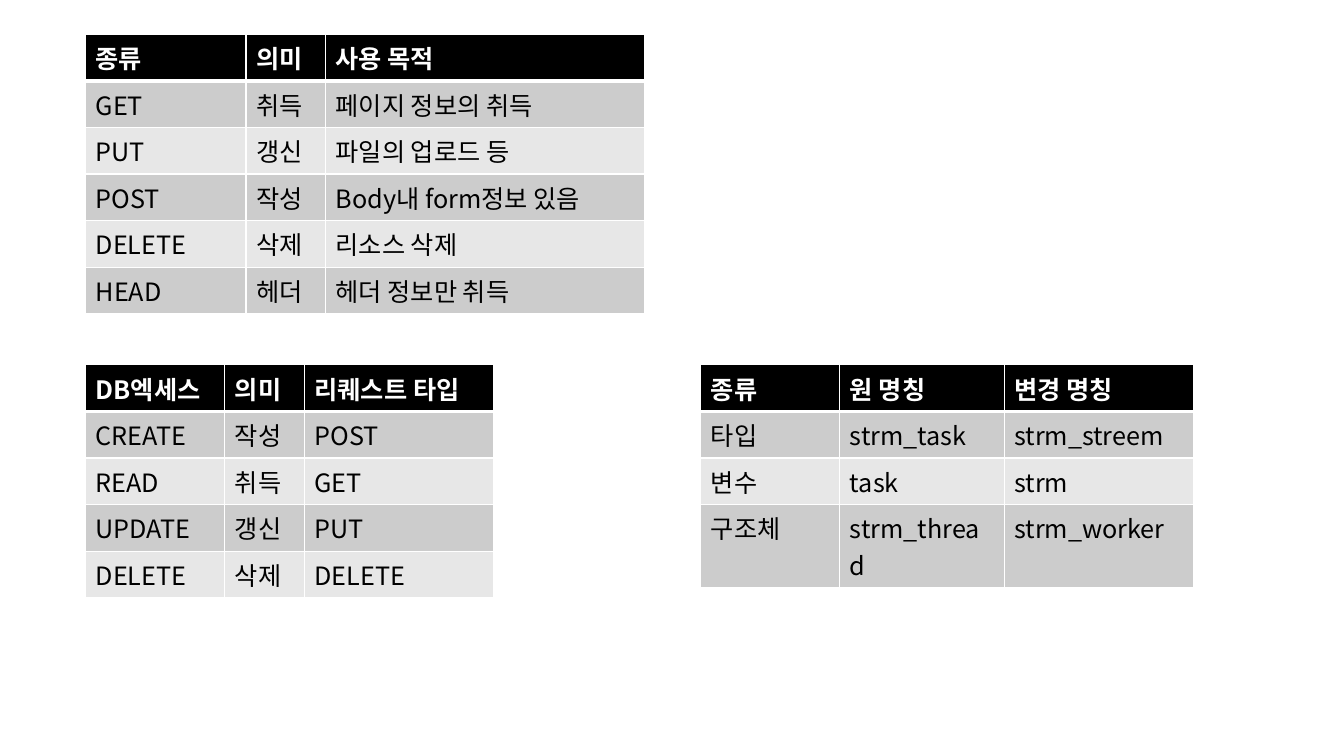
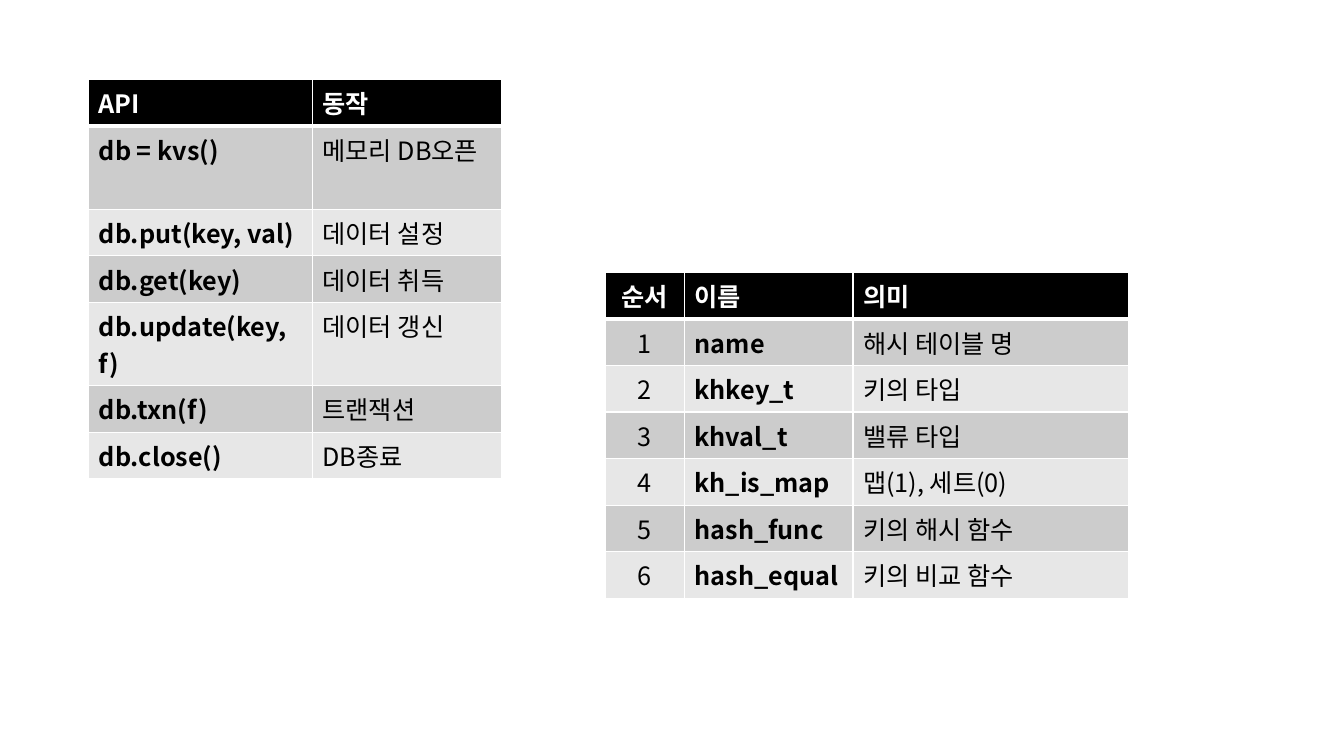
from dataclasses import dataclass

import pptx
import pptx.dml.color
import pptx.enum.text
import pptx.oxml.ns
import pptx.slide
import pptx.table
import pptx.util
from lxml import etree

Inches = pptx.util.Inches
Pt = pptx.util.Pt
qn = pptx.oxml.ns.qn


@dataclass(frozen=True)
class Theme:
    font: str = "Noto Sans CJK KR"
    size: int = 18
    head: str = "000000"
    ink: str = "000000"
    white: str = "FFFFFF"
    bands: tuple[str, str] = ("CCCCCC", "E7E7E7")
    thin: int = 1
    thick: int = 3
    row: float = 0.43


@dataclass(frozen=True)
class Grid:
    left: float
    top: float
    widths: tuple[float, ...]
    rows: tuple[tuple[str, ...], ...]
    bold: int | None = None
    center: int | None = None


THEME = Theme()

METHODS = Grid(0.85, 0.34, (1.59, 0.79, 3.16), (
    ("종류", "의미", "사용 목적"),
    ("GET", "취득", "페이지 정보의 취득"),
    ("PUT", "갱신", "파일의 업로드 등"),
    ("POST", "작성", "Body내 form정보 있음"),
    ("DELETE", "삭제", "리소스 삭제"),
    ("HEAD", "헤더", "헤더 정보만 취득"),
))
ACCESS = Grid(0.85, 3.62, (1.38, 0.79, 1.88), (
    ("DB엑세스", "의미", "리퀘스트 타입"),
    ("CREATE", "작성", "POST"),
    ("READ", "취득", "GET"),
    ("UPDATE", "갱신", "PUT"),
    ("DELETE", "삭제", "DELETE"),
))
NAMES = Grid(6.95, 3.62, (1.38, 1.63, 1.88), (
    ("종류", "원 명칭", "변경 명칭"),
    ("타입", "strm_task", "strm_streem"),
    ("변수", "task", "strm"),
    ("구조체", "strm_thread", "strm_worker"),
))
CALLS = Grid(0.88, 0.79, (2.22, 1.88), (
    ("API", "동작"),
    ("db = kvs()", "메모리 DB오픈"),
    ("db.put(key, val)", "데이터 설정"),
    ("db.get(key)", "데이터 취득"),
    ("db.update(key, f)", "데이터 갱신"),
    ("db.txn(f)", "트랜잭션"),
    ("db.close()", "DB종료"),
), bold=0)
PARAMS = Grid(6, 2.7, (0.79, 1.67, 2.73), (
    ("순서", "이름", "의미"),
    ("1", "name", "해시 테이블 명"),
    ("2", "khkey_t", "키의 타입"),
    ("3", "khval_t", "밸류 타입"),
    ("4", "kh_is_map", "맵(1), 세트(0)"),
    ("5", "hash_func", "키의 해시 함수"),
    ("6", "hash_equal", "키의 비교 함수"),
), bold=1, center=0)

SLIDES = ((METHODS, ACCESS, NAMES), (CALLS, PARAMS))


def rgb(code: str) -> pptx.dml.color.RGBColor:
    return pptx.dml.color.RGBColor.from_string(code)


def edge(cell: pptx.table._Cell, row: int) -> None:
    """Draw white cell borders, with a thick rule under the header."""
    top = THEME.thick if row == 1 else THEME.thin
    base = THEME.thick if row == 0 else THEME.thin
    sides = {"L": THEME.thin, "R": THEME.thin, "T": top, "B": base}
    props = cell._tc.get_or_add_tcPr()
    for spot, (side, width) in enumerate(sides.items()):
        line = etree.Element(qn(f"a:ln{side}"), w=str(Pt(width)))
        fill = etree.SubElement(line, qn("a:solidFill"))
        etree.SubElement(fill, qn("a:srgbClr"), val=THEME.white)
        props.insert(spot, line)


def write(cell: pptx.table._Cell, text: str, color: str, bold: bool,
          center: bool) -> None:
    cell.text_frame.text = text
    para = cell.text_frame.paragraphs[0]
    if center:
        para.alignment = pptx.enum.text.PP_ALIGN.CENTER
    run = para.runs[0]
    run.font.name = THEME.font
    run.font.size = Pt(THEME.size)
    run.font.bold = bold
    run.font.color.rgb = rgb(color)
    latin = run.font._element.find(qn("a:latin"))
    latin.addnext(etree.Element(qn("a:ea"), typeface=THEME.font))


def draw(slide: pptx.slide.Slide, grid: Grid) -> None:
    count = len(grid.rows)
    table = slide.shapes.add_table(
        count, len(grid.widths), Inches(grid.left), Inches(grid.top),
        Inches(sum(grid.widths)), Inches(THEME.row * count)).table
    for col, width in zip(table.columns, grid.widths):
        col.width = Inches(width)
    for r, texts in enumerate(grid.rows):
        table.rows[r].height = Inches(THEME.row)
        head = r == 0
        back = THEME.head if head else THEME.bands[(r - 1) % 2]
        color = THEME.white if head else THEME.ink
        for c, text in enumerate(texts):
            cell = table.cell(r, c)
            cell.fill.solid()
            cell.fill.fore_color.rgb = rgb(back)
            edge(cell, r)
            write(cell, text, color, head or c == grid.bold, c == grid.center)


def main() -> None:
    deck = pptx.Presentation()
    deck.slide_width = Inches(13.33)
    deck.slide_height = Inches(7.5)
    blank = deck.slide_layouts[6]
    for grids in SLIDES:
        slide = deck.slides.add_slide(blank)
        for grid in grids:
            draw(slide, grid)
    deck.save("out.pptx")


if __name__ == "__main__":
    main()
